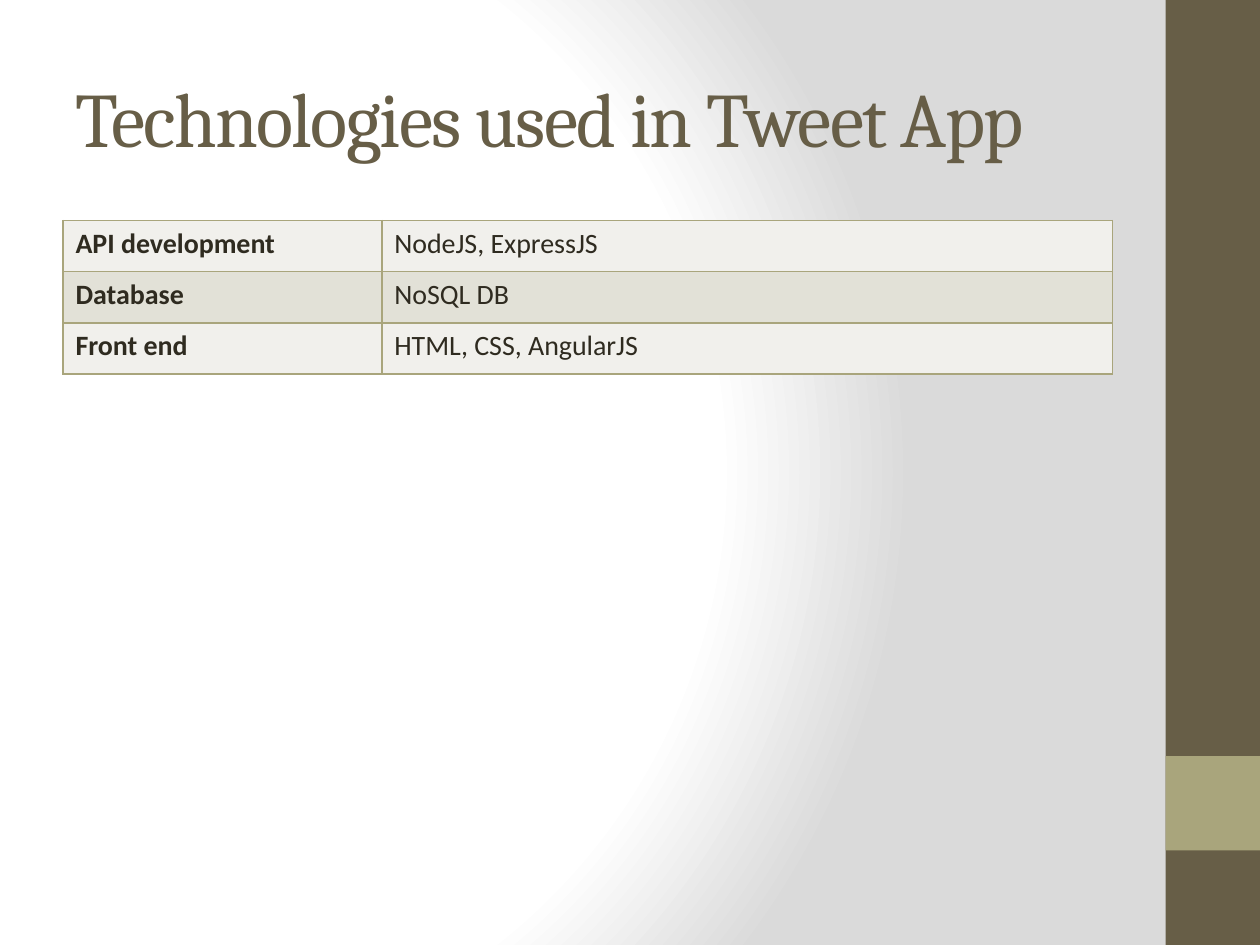
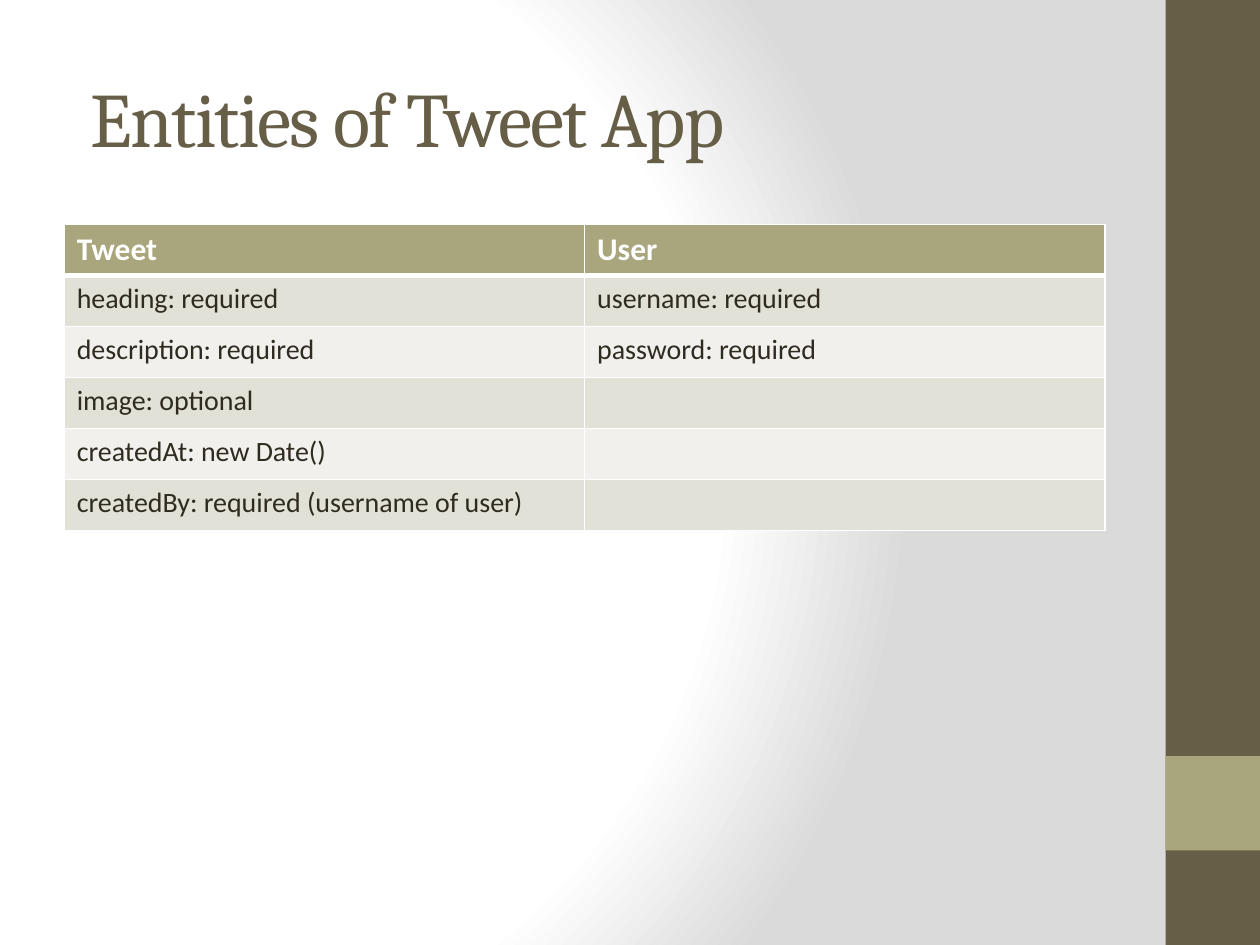
"""Build the two slides on the technologies and entities of the tweet app."""
import dataclasses

import pptx
import pptx.dml.color
import pptx.enum.shapes
import pptx.enum.text
import pptx.oxml
import pptx.oxml.ns
import pptx.util

Inches = pptx.util.Inches
Pt = pptx.util.Pt


@dataclasses.dataclass(frozen=True)
class Theme:
    brown: str = "675E47"
    olive: str = "A9A57C"
    ink: str = "2F2B20"
    white: str = "FFFFFF"
    grey: str = "DADADA"
    stripes: tuple = ("F1F0EC", "E2E1D7")
    title_font: str = "Cambria"
    body_font: str = "Calibri"
    title_size: int = 44
    header_size: int = 18
    body_size: int = 16


def rgb(color):
    return pptx.dml.color.RGBColor.from_string(color)


class DeckBuilder:
    def __init__(self, theme):
        self.theme = theme
        self.deck = pptx.Presentation()
        self.deck.slide_width = Inches(10)
        self.deck.slide_height = Inches(7.5)
        self.page = None
        self.set_background()

    def set_background(self):
        master = self.deck.slide_master
        master.background.fill.solid()
        solid = master.element.xpath(".//p:bgPr/a:solidFill")[0]
        stops = ((0, self.theme.white), (75, self.theme.white), (100, self.theme.grey))
        stop_list = "".join(
            f'<a:gs pos="{place * 1000}"><a:srgbClr val="{color}"/></a:gs>'
            for place, color in stops
        )
        gradient = pptx.oxml.parse_xml(
            f'<a:gradFill {pptx.oxml.ns.nsdecls("a")} rotWithShape="1">'
            f"<a:gsLst>{stop_list}</a:gsLst>"
            '<a:path path="circle">'
            '<a:fillToRect l="20000" t="50000" r="100000" b="50000"/>'
            "</a:path></a:gradFill>"
        )
        solid.getparent().replace(solid, gradient)

    def add_page(self, title, indent=0):
        self.page = self.deck.slides.add_slide(self.deck.slide_layouts[5])
        box = self.page.shapes.title
        box.left, box.top = Inches(0.5), Inches(0.3)
        box.width, box.height = Inches(8.33), Inches(1.25)
        frame = box.text_frame
        frame.text = title
        frame.word_wrap = True
        frame.auto_size = pptx.enum.text.MSO_AUTO_SIZE.NONE
        frame.vertical_anchor = pptx.enum.text.MSO_ANCHOR.MIDDLE
        para = frame.paragraphs[0]
        para.alignment = pptx.enum.text.PP_ALIGN.LEFT
        properties = para._p.get_or_add_pPr()
        properties.set("marL", str(Inches(indent)))
        properties.set("indent", "0")
        span = para.runs[0]
        self.format_font(span.font, self.theme.title_font, self.theme.title_size, self.theme.brown)
        span._r.get_or_add_rPr().set("spc", "-100")

    def format_font(self, font, name, size, color, bold=False):
        font.name = name
        font.size = Pt(size)
        font.bold = bold
        font.color.rgb = rgb(color)

    def add_master_band(self, top, height, color):
        band = self.page.shapes.add_shape(
            pptx.enum.shapes.MSO_SHAPE.RECTANGLE,
            Inches(9.25), Inches(top), Inches(0.75), Inches(height),
        )
        band.shadow.inherit = False
        band.fill.solid()
        band.fill.fore_color.rgb = rgb(color)
        band.line.fill.background()
        self.deck.slide_master.element.cSld.spTree.append(band.element)

    def add_border(self, cell, side, color, width):
        cell._tc.get_or_add_tcPr().append(pptx.oxml.parse_xml(
            f'<a:ln{side} {pptx.oxml.ns.nsdecls("a")} w="{Pt(width)}">'
            f'<a:solidFill><a:srgbClr val="{color}"/></a:solidFill></a:ln{side}>'
        ))

    def add_table(self, rows, left, top, widths, height, border, has_header):
        theme = self.theme
        table = self.page.shapes.add_table(
            len(rows), len(widths), Inches(left), Inches(top),
            Inches(sum(widths)), Inches(height),
        ).table
        table.first_row = has_header
        table.first_col = not has_header
        table.horz_banding = False
        for column, width in zip(table.columns, widths):
            column.width = Inches(width)
        for row_index, row in enumerate(rows):
            is_header = has_header and row_index == 0
            fill = theme.olive if is_header else theme.stripes[row_index % 2]
            size = theme.header_size if is_header else theme.body_size
            color = theme.white if is_header else theme.ink
            top_width = 3 if has_header and row_index == 1 else 1
            bottom_width = 3 if is_header else 1
            borders = {"L": 1, "R": 1, "T": top_width, "B": bottom_width}
            for column_index, text in enumerate(row):
                cell = table.cell(row_index, column_index)
                for side, width in borders.items():
                    self.add_border(cell, side, border, width)
                cell.fill.solid()
                cell.fill.fore_color.rgb = rgb(fill)
                if text:
                    cell.text_frame.text = text
                    bold = is_header or (not has_header and column_index == 0)
                    span = cell.text_frame.paragraphs[0].runs[0]
                    self.format_font(span.font, theme.body_font, size, color, bold)


def main():
    theme = Theme()
    builder = DeckBuilder(theme)

    builder.add_page("Technologies used in Tweet App")
    builder.add_master_band(0, 7.5, theme.brown)
    builder.add_master_band(6, 0.75, theme.olive)
    technologies = [
        ("API development", "NodeJS, ExpressJS"),
        ("Database", "NoSQL DB"),
        ("Front end", "HTML, CSS, AngularJS"),
    ]
    builder.add_table(technologies, 0.5, 1.75, (2.53, 5.8), 1.22, theme.olive, False)

    builder.add_page("Entities of Tweet App", indent=0.12)
    entities = [
        ("Tweet", "User"),
        ("heading: required", "username: required"),
        ("description: required", "password: required"),
        ("image: optional", ""),
        ("createdAt: new Date()", ""),
        ("createdBy: required (username of user)", ""),
    ]
    builder.add_table(entities, 0.51, 1.78, (4.13, 4.13), 2.43, theme.white, True)

    builder.deck.save("out.pptx")


if __name__ == "__main__":
    main()
